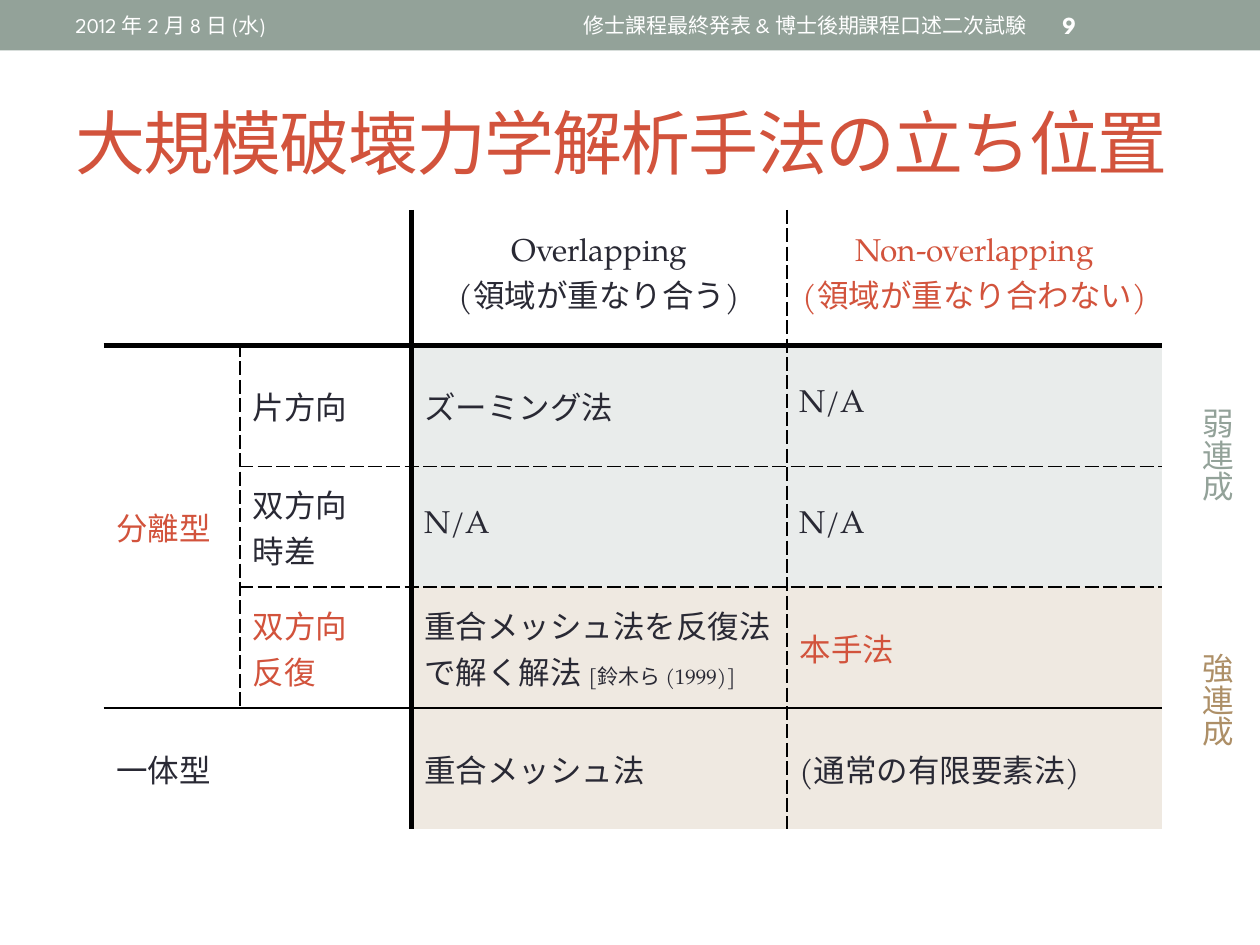
from pptx import Presentation
from pptx.util import Pt
from pptx.dml.color import RGBColor
from pptx.enum.shapes import MSO_SHAPE
from pptx.enum.text import PP_ALIGN, MSO_ANCHOR, MSO_AUTO_SIZE
from pptx.oxml.ns import qn
from lxml.etree import SubElement, Element

HEAD, BODY = "League Spartan", "TeX Gyre Pagella"
RED, DARK, WHITE = "D2533C", "292934", "FFFFFF"
SAGE, TAN = "93A299", "AD8F67"
WEAK, STRONG = "E9ECEB", "EFE9E1"
THICK, THIN, DASH = (3, "solid"), (1, "solid"), (1, "dash")

# Rows of (text, color); a None text is covered by a merged cell
ROWS = [
    [("", DARK), (None, DARK), ("Overlapping\n(領域が重なり合う)", DARK),
     ("Non-overlapping\n(領域が重なり合わない)", RED)],
    [("分離型", RED), ("片方向", DARK), ("ズーミング法", DARK), ("N/A", DARK)],
    [(None, DARK), ("双方向\n時差", DARK), ("N/A", DARK), ("N/A", DARK)],
    [(None, DARK), ("双方向\n反復", RED), ("重合メッシュ法を反復法で解く解法 ", DARK),
     ("本手法", RED)],
    [("一体型", DARK), (None, DARK), ("重合メッシュ法", DARK),
     ("(通常の有限要素法)", DARK)],
]
MERGES = [((0, 0), (0, 1)), ((1, 0), (3, 0)), ((4, 0), (4, 1))]
CITE = "[鈴木ら (1999)]"
TOP = 77.4  # header row, tall enough for three lines


def rgb(color):
    return RGBColor.from_string(color)


def write(frame, text, size, color, face, align=None, bold=None):
    """Fill a text frame, one paragraph for each line."""
    for i, line in enumerate(text.split("\n")):
        para = frame.add_paragraph() if i else frame.paragraphs[0]
        para.text = line
        para.alignment = align
        font = para.font
        font.size, font.name, font.bold = Pt(size), face, bold
        font.color.rgb = rgb(color)


def label(slide, box, text, size, color, face=HEAD, align=None, bold=None):
    frame = slide.shapes.add_textbox(*map(Pt, box)).text_frame
    frame.word_wrap = True
    frame.vertical_anchor = MSO_ANCHOR.MIDDLE
    write(frame, text, size, color, face, align, bold)
    return frame


def banner(slide, box):
    x, y, w, h = box
    bar = slide.shapes.add_shape(MSO_SHAPE.RECTANGLE, *map(Pt, box))
    bar.shadow.inherit = False
    bar.fill.solid()
    bar.fill.fore_color.rgb = rgb(SAGE)
    bar.line.fill.background()
    top, tall = y + 1.5, h - 3
    label(slide, (x + 36, top, 228, tall), "2012 年 2 月 8 日 (水)", 12, WHITE)
    label(slide, (x + 270, top, 324, tall),
          "修士課程最終発表 & 博士後期課程口述二次試験", 12, WHITE,
          align=PP_ALIGN.RIGHT)
    label(slide, (x + 600, top, 84, tall), "9", 14, WHITE, bold=True)


def title(slide, box):
    frame = label(slide, box, "大規模破壊力学解析手法の立ち位置", 40, RED)
    run = frame.paragraphs[0].runs[0]
    run._r.get_or_add_rPr().set("spc", "-100")


def below(row, col):
    """Rule under a cell."""
    if row == 0:
        return THICK
    if row == 3:
        return THIN
    return DASH if row in (1, 2) and col > 0 else None


def beside(row, col):
    """Rule to the right of a cell."""
    if col == 1:
        return THICK
    if col == 2:
        return DASH
    return DASH if col == 0 and row in (1, 2, 3) else None


def border(cell, row, col):
    end = row + cell.span_height - 1
    last = col + cell.span_width - 1
    edges = {"a:lnL": beside(row, col - 1), "a:lnR": beside(row, last),
             "a:lnT": below(row - 1, col), "a:lnB": below(end, col)}
    props = cell._tc.get_or_add_tcPr()
    for i, (tag, rule) in enumerate(edges.items()):
        line = Element(qn(tag))
        props.insert(i, line)
        if rule is None:
            SubElement(line, qn("a:noFill"))
            continue
        width, dash = rule
        line.set("w", str(Pt(width)))
        fill = SubElement(line, qn("a:solidFill"))
        SubElement(fill, qn("a:srgbClr")).set("val", "000000")
        SubElement(line, qn("a:prstDash")).set("val", dash)


def matrix(slide, box):
    table = slide.shapes.add_table(5, 4, *map(Pt, box)).table
    table.first_row = table.horz_banding = False
    for col, width in zip(table.columns, (78, 98, 214.5, 214.5)):
        col.width = Pt(width)
    for i, row in enumerate(table.rows):
        row.height = Pt((box[3] - TOP) / 4 if i else TOP)
    for start, end in MERGES:
        table.cell(*start).merge(table.cell(*end))

    for r, row in enumerate(ROWS):
        for c, (text, color) in enumerate(row):
            cell = table.cell(r, c)
            cell.vertical_anchor = MSO_ANCHOR.MIDDLE
            if text is not None:
                write(cell.text_frame, text, 18, color, BODY,
                      None if r else PP_ALIGN.CENTER)
            # Weak coupling above, strong coupling below
            if r > 0 and c > 1:
                cell.fill.solid()
                cell.fill.fore_color.rgb = rgb(WEAK if r < 3 else STRONG)
            else:
                cell.fill.background()
            border(cell, r, c)

    # Small citation after the method name
    cite = table.cell(3, 2).text_frame.paragraphs[0].add_run()
    cite.text = CITE
    cite.font.size = Pt(12)


def side(slide, box, text, color):
    frame = label(slide, box, text, 18, color, BODY)
    frame.word_wrap = False
    frame.vertical_anchor = MSO_ANCHOR.TOP
    frame.auto_size = MSO_AUTO_SIZE.SHAPE_TO_FIT_TEXT
    frame._txBody.bodyPr.set("vert", "eaVert")


def main():
    deck = Presentation()
    deck.slide_width, deck.slide_height = Pt(720), Pt(540)
    slide = deck.slides.add_slide(deck.slide_layouts[6])
    banner(slide, (0, 0, 720, 28.8))
    title(slide, (36, 42, 648, 78))
    matrix(slide, (59.2, 120, 605, 353.8))
    side(slide, (674, 226, 36, 62), "弱連成", SAGE)
    side(slide, (674, 366, 36, 62), "強連成", TAN)
    deck.save("out.pptx")


if __name__ == "__main__":
    main()
